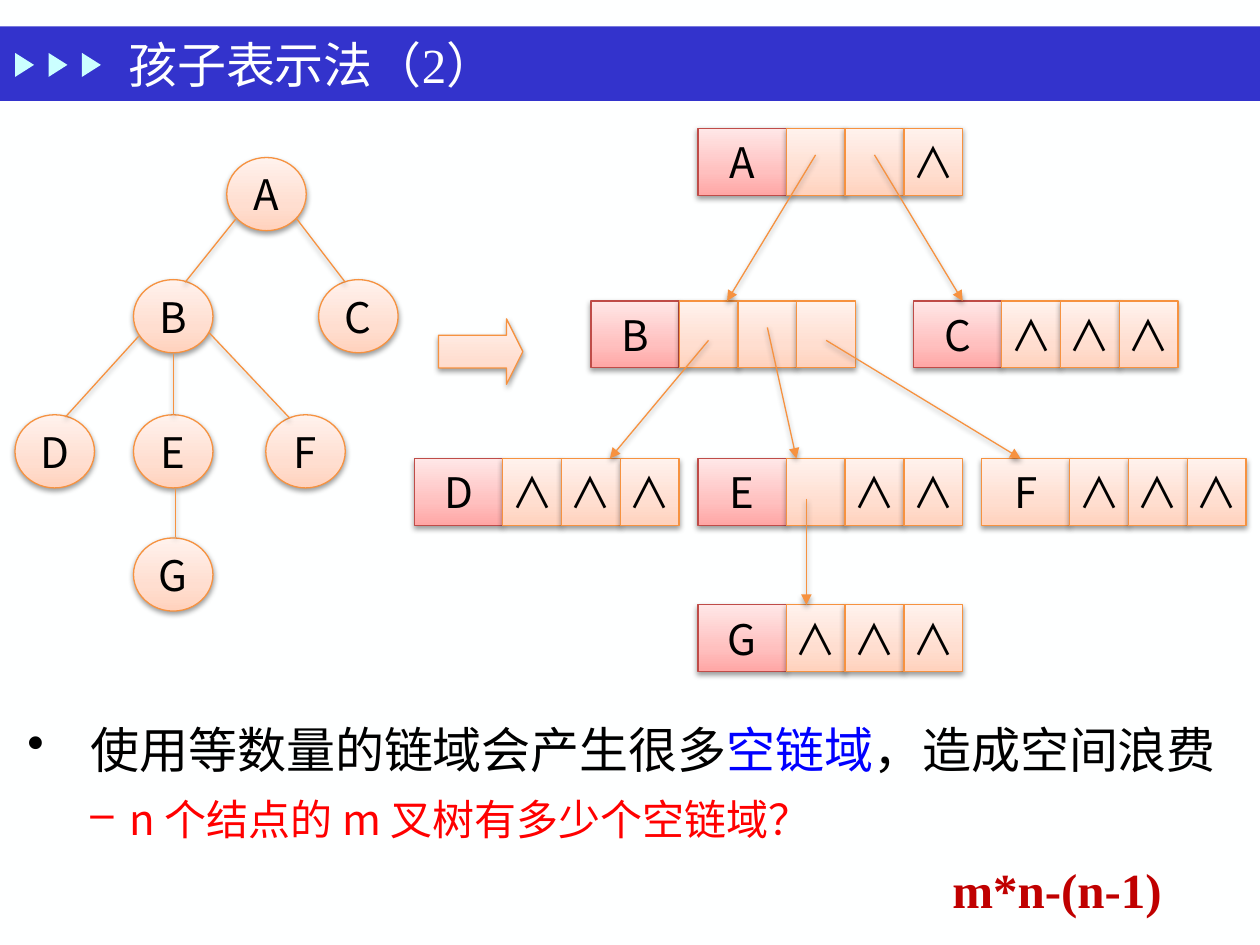
import copy

import pptx
import pptx.dml.color
import pptx.enum.shapes
import pptx.enum.text
import pptx.oxml
import pptx.oxml.ns
import pptx.util
from lxml import etree

Pt = pptx.util.Pt
qn = pptx.oxml.ns.qn
SHAPE = pptx.enum.shapes.MSO_SHAPE
ALIGN = pptx.enum.text.PP_ALIGN
ANCHOR = pptx.enum.text.MSO_ANCHOR

SANS, SERIF = "Noto Sans CJK SC", "Times New Roman"
COLORS = {
    "paper": "FEFFFF", "bar": "3333CC", "marker": "CBFFFF", "ink": "000000",
    "blue": "0000FF", "red": "FF0000", "answer": "C00000",
    "orange": "F69240", "rose": "BF4C48",
}
# Gradient stops, bottom to top, for each outline colour
GRADIENTS = {
    "orange": ((0, "FFD2BD"), (0.35, "FFDED0"), (1, "FFF2ED")),
    "rose": ((0, "FFA6A5"), (0.35, "FFC0BF"), (1, "FFE7E7")),
}
SHADOW = (
    '<a:effectLst xmlns:a="http://schemas.openxmlformats.org/drawingml/2006/main">'
    '<a:outerShdw blurRad="40000" dist="20000" dir="5400000" rotWithShape="0">'
    '<a:srgbClr val="000000"><a:alpha val="38000"/></a:srgbClr>'
    '</a:outerShdw></a:effectLst>'
)


def rgb(name):
    return pptx.dml.color.RGBColor.from_string(COLORS[name])


def add_run(p, text, size, color, font=SANS, bold=False):
    r = p.add_run()
    r.text = text
    r.font.size, r.font.bold, r.font.name = Pt(size), bold, font
    r.font.color.rgb = rgb(color)
    etree.SubElement(r.font._element, qn("a:ea")).set("typeface", SANS)


def add_textbox(s, box, wrap=True):
    tf = s.shapes.add_textbox(*map(Pt, box)).text_frame
    tf.word_wrap = wrap
    return tf


def add_flat(s, kind, box, color):
    sp = s.shapes.add_shape(kind, *map(Pt, box))
    sp.shadow.inherit = False
    sp.fill.solid()
    sp.fill.fore_color.rgb = rgb(color)
    sp.line.fill.background()
    return sp


def add_glossy(s, kind, box, color="orange", label=""):
    """Shape with a vertical gradient, thin outline, soft shadow and label."""
    sp = s.shapes.add_shape(kind, *map(Pt, box))
    sp.fill.gradient()
    sp.fill.gradient_angle = 90
    stops = sp._element.spPr.find(".//" + qn("a:gsLst"))
    stops.append(copy.deepcopy(stops[0]))
    for stop, (position, value) in zip(sp.fill.gradient_stops, GRADIENTS[color]):
        stop.position = position
        stop.color.rgb = pptx.dml.color.RGBColor.from_string(value)
    sp.line.color.rgb, sp.line.width = rgb(color), Pt(0.75)
    sp._element.spPr.append(pptx.oxml.parse_xml(SHADOW))
    if label:
        tf = sp.text_frame
        tf.word_wrap, tf.vertical_anchor = False, ANCHOR.MIDDLE
        tf.paragraphs[0].alignment = ALIGN.CENTER
        add_run(tf.paragraphs[0], label, 24, "ink")
    return sp


def add_line(s, x1, y1, x2, y2, arrow=False):
    line = s.shapes.add_connector(
        pptx.enum.shapes.MSO_CONNECTOR.STRAIGHT, *map(Pt, (x1, y1, x2, y2)))
    line.line.color.rgb, line.line.width = rgb("orange"), Pt(0.75)
    spPr = line._element.spPr
    if arrow:
        etree.SubElement(spPr.find(qn("a:ln")), qn("a:tailEnd")).set("type", "triangle")
    spPr.append(pptx.oxml.parse_xml(SHADOW))


def title_bar(s, x, y, w, h):
    add_flat(s, SHAPE.RECTANGLE, (x, y, w, h), "bar")
    for i in range(3):
        sp = add_flat(s, SHAPE.ISOSCELES_TRIANGLE,
                      (x + 7.2 + 19.1 * i, y + 16.6, 13.7, 10.8), "marker")
        sp.rotation = 90
    tf = add_textbox(s, (x + 66.2, y + 3.6, 504, 36))
    tf.vertical_anchor = ANCHOR.MIDDLE
    add_run(tf.paragraphs[0], "孩子表示法（2）", 28, "paper", SERIF)


def tree(s, x, y):
    nodes = {"A": (121, 0), "B": (67.7, 69.8), "C": (173.5, 69.8), "D": (0, 147),
             "E": (67.7, 147), "F": (143.3, 147), "G": (67.7, 217.4)}
    for label, (dx, dy) in nodes.items():
        add_glossy(s, SHAPE.OVAL, (x + dx, y + dy, 45.4, 41.8), label=label)
    edges = [
        (126, 35.3, 97.2, 71.3),      # A-B
        (160.6, 34.6, 188.7, 71.3),   # A-C
        (70.6, 102.2, 28.8, 148.3),   # B-D
        (90.7, 112.3, 90.7, 147),     # B-E
        (110.9, 100.1, 157, 149),     # B-F
        (91.5, 189.4, 91.5, 216.7),   # E-G
    ]
    for x1, y1, x2, y2 in edges:
        add_line(s, x + x1, y + y1, x + x2, y + y2)


def record(s, x, y, label, links, color):
    """Data field followed by one cell for each link field."""
    head, cell, height = 50.4, 33.6, 38.2
    add_glossy(s, SHAPE.RECTANGLE, (x, y, head, height), color, label)
    for i, link in enumerate(links):
        add_glossy(s, SHAPE.RECTANGLE, (x + head + cell * i, y, cell, height),
                   label=link.strip())


def linked_records(s, x, y):
    # Offset of each record and its link fields; a space is a used link
    records = {
        "A": (162, 0, "  ∧"), "B": (100.8, 98.6, "   "), "C": (285.1, 98.6, "∧∧∧"),
        "D": (0, 188.6, "∧∧∧"), "E": (162, 188.6, " ∧∧"), "F": (324, 188.6, "∧∧∧"),
        "G": (162, 272.2, "∧∧∧"),
    }
    for label, (dx, dy, links) in records.items():
        record(s, x + dx, y + dy, label, links, "orange" if label == "F" else "rose")
    # Parent, start inside it, child, tip along the child's top edge
    pointers = [
        ("A", 67.2, 15.1, "B", 77.8), ("A", 100.8, 15.1, "C", 28.1),
        ("B", 67.2, 22.5, "D", 111.6), ("B", 100.8, 15.1, "E", 56.2),
        ("B", 134.4, 22.5, "F", 22.3), ("E", 61.9, 22.9, "G", 61.9),
    ]
    for parent, dx, dy, child, tip in pointers:
        px, py, _ = records[parent]
        cx, cy, _ = records[child]
        add_line(s, x + px + dx, y + py + dy, x + cx + tip, y + cy, arrow=True)


def transform_arrow(s, x, y, w, h):
    sp = add_glossy(s, SHAPE.RIGHT_ARROW, (x, y, w, h))
    sp.adjustments[0], sp.adjustments[1] = 0.5, 0.25


def notes_text(s, x, y, w, h):
    tf = add_textbox(s, (x, y, w, h))
    paragraphs = [
        ("•", 36, -36, 28, [("使用等数量的链域会产生很多", "ink"), ("空链域", "blue"),
                            ("，造成空间浪费", "ink")]),
        ("–", 58.5, -22.5, 24, [("n 个结点的 m 叉树有多少个空链域？", "red")]),
    ]
    for i, (bullet, margin, indent, size, runs) in enumerate(paragraphs):
        p = tf.add_paragraph() if i else tf.paragraphs[0]
        p.level, p.line_spacing = i, 1.3
        pPr = p._p.get_or_add_pPr()
        pPr.set("marL", str(Pt(margin)))
        pPr.set("indent", str(Pt(indent)))
        etree.SubElement(pPr, qn("a:buChar")).set("char", bullet)
        for text, color in runs:
            add_run(p, text, size, color)


def answer(s, x, y, w, h):
    tf = add_textbox(s, (x, y, w, h), wrap=False)
    add_run(tf.paragraphs[0], "m*n-(n-1)", 28, "answer", SERIF, bold=True)


def main():
    prs = pptx.Presentation()
    prs.slide_width, prs.slide_height = Pt(720), Pt(540)
    s = prs.slides.add_slide(prs.slide_layouts[6])
    s.background.fill.solid()
    s.background.fill.fore_color.rgb = rgb("paper")

    title_bar(s, 0, 15.1, 720, 42.5)
    notes_text(s, 8.6, 397.4, 697.7, 108)
    tree(s, 8.6, 90)
    transform_arrow(s, 250.6, 182.2, 48.2, 37.4)
    linked_records(s, 236.9, 73.4)
    answer(s, 537.1, 487.4, 136.1, 41)
    prs.save("out.pptx")


if __name__ == "__main__":
    main()
